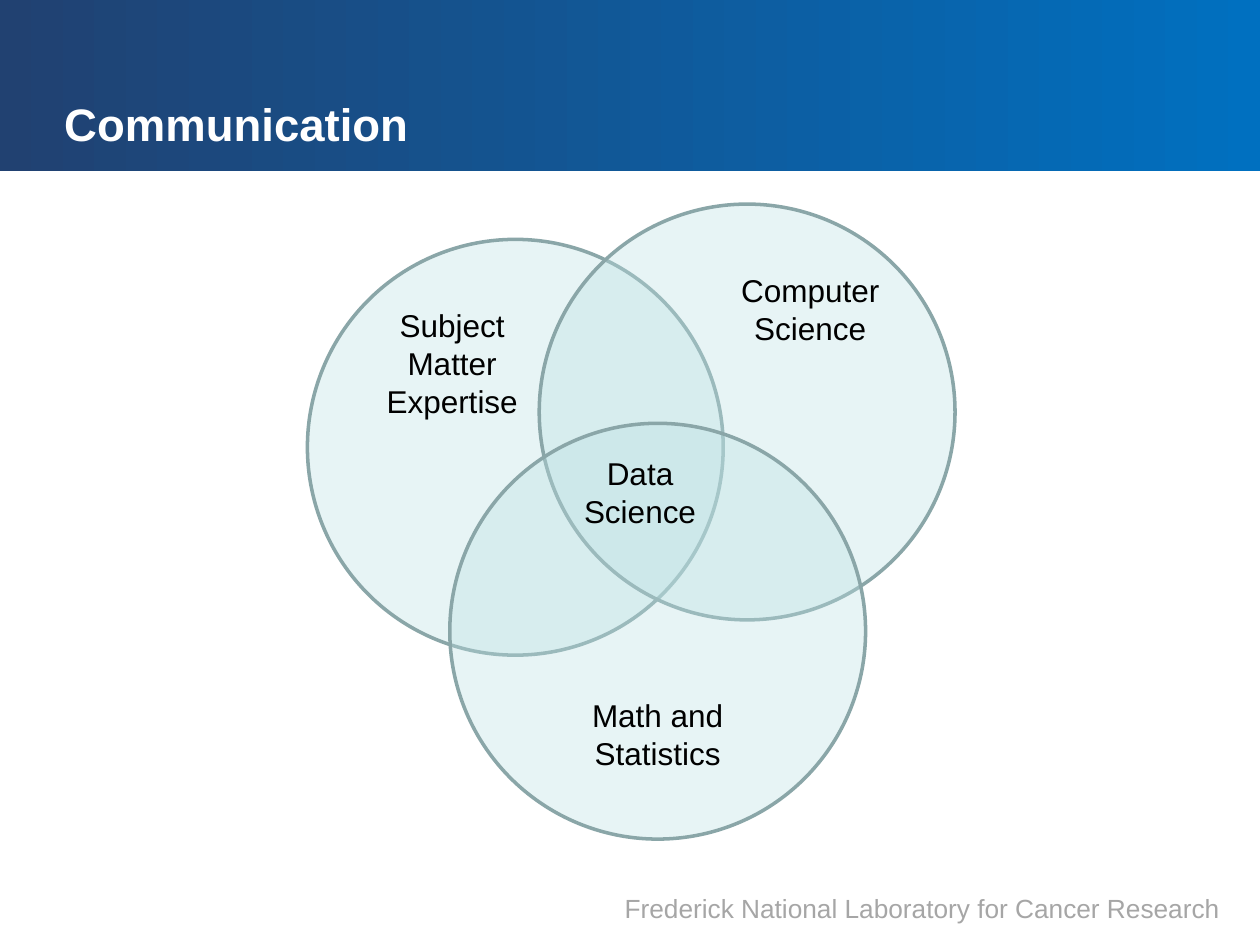
from dataclasses import dataclass

from lxml.etree import SubElement
from pptx import Presentation
from pptx.dml.color import RGBColor
from pptx.enum.shapes import MSO_SHAPE
from pptx.enum.text import MSO_ANCHOR, MSO_AUTO_SIZE, PP_ALIGN
from pptx.oxml.ns import qn
from pptx.util import Inches, Pt


@dataclass(frozen=True)
class Theme:
    font: str = "Arial"
    band_start: str = "214171"
    band_end: str = "0070C0"
    title: str = "FFFFFF"
    body: str = "000000"
    footer: str = "A6A6A6"
    circle_fill: str = "BBE0E3"
    circle_line: str = "8AA6A8"
    circle_opacity: int = 35
    title_size: int = 26
    body_size: int = 18
    footer_size: int = 15
    line_width: int = 2


THEME = Theme()
SLIDE_WIDTH, SLIDE_HEIGHT = 10, 7.5
DIAMETER = 3.3
SIDE_INSET = 1.1  # pushes a label away from the overlap


def rgb(code):
    return RGBColor.from_string(code)


def write_text(frame, text, size=THEME.body_size, color=THEME.body, bold=False,
               align=PP_ALIGN.CENTER, anchor=MSO_ANCHOR.TOP, spacing=None,
               inset_left=0.1, inset_right=0.1, wrap=True):
    """Fill a text frame, one paragraph per line of text."""
    frame.word_wrap = wrap
    frame.vertical_anchor = anchor
    frame.margin_left, frame.margin_right = Inches(inset_left), Inches(inset_right)
    frame.margin_top = frame.margin_bottom = Inches(0.05)
    frame.text = text
    for paragraph in frame.paragraphs:
        paragraph.alignment = align
        paragraph.line_spacing = spacing
        for run in paragraph.runs:
            run.font.name = THEME.font
            run.font.size = Pt(size)
            run.font.bold = bold
            run.font.color.rgb = rgb(color)


def add_band(slide):
    band = slide.shapes.add_shape(MSO_SHAPE.RECTANGLE, 0, 0,
                                  Inches(SLIDE_WIDTH), Inches(1.36))
    band.shadow.inherit = False
    band.line.fill.background()
    band.fill.gradient()
    band.fill.gradient_angle = 0
    for stop, color, position in zip(band.fill.gradient_stops,
                                     (THEME.band_start, THEME.band_end), (0, 1)):
        stop.color.rgb = rgb(color)
        stop.position = position
    # Send the band behind the title placeholder
    slide.shapes._spTree.insert(2, band._element)


def add_title(slide, text):
    title = slide.shapes.title
    title.left, title.top = Inches(0.41), Inches(0)
    title.width, title.height = Inches(7.21), Inches(1.25)
    write_text(title.text_frame, text, size=THEME.title_size, color=THEME.title,
               bold=True, align=PP_ALIGN.LEFT, anchor=MSO_ANCHOR.BOTTOM, spacing=0.9)


def add_circle(slide, text, left, top, **text_format):
    circle = slide.shapes.add_shape(MSO_SHAPE.OVAL, Inches(left), Inches(top),
                                    Inches(DIAMETER), Inches(DIAMETER))
    circle.shadow.inherit = False
    circle.fill.solid()
    circle.fill.fore_color.rgb = rgb(THEME.circle_fill)
    fill_color = circle._element.spPr.find(qn("a:solidFill"))[0]
    SubElement(fill_color, qn("a:alpha"), val=str(THEME.circle_opacity * 1000))
    circle.line.color.rgb = rgb(THEME.circle_line)
    circle.line.width = Pt(THEME.line_width)
    write_text(circle.text_frame, text, **text_format)


def add_label(slide, text, left, top, width, height, **text_format):
    label = slide.shapes.add_textbox(Inches(left), Inches(top),
                                     Inches(width), Inches(height))
    write_text(label.text_frame, text, **text_format)
    label.text_frame.auto_size = MSO_AUTO_SIZE.SHAPE_TO_FIT_TEXT


def main():
    presentation = Presentation()
    presentation.slide_width = Inches(SLIDE_WIDTH)
    presentation.slide_height = Inches(SLIDE_HEIGHT)
    slide = presentation.slides.add_slide(presentation.slide_layouts[5])

    # Header and footer
    add_band(slide)
    add_title(slide, "Communication")
    add_label(slide, "Frederick National Laboratory for Cancer Research",
              4.71, 7.03, 5.07, 0.35, size=THEME.footer_size,
              color=THEME.footer, align=PP_ALIGN.RIGHT)

    # Venn diagram of the three fields
    add_circle(slide, "Subject\nMatter\nExpertise", 2.44, 1.9, inset_right=SIDE_INSET)
    add_circle(slide, "Computer\nScience", 4.28, 1.62, inset_left=SIDE_INSET)
    add_circle(slide, "Math and\nStatistics", 3.57, 3.36, anchor=MSO_ANCHOR.BOTTOM)

    # Shared centre
    add_label(slide, "Data\nScience", 4.53, 3.55, 1.1, 0.71,
              anchor=MSO_ANCHOR.MIDDLE, wrap=False)

    presentation.save("out.pptx")


if __name__ == "__main__":
    main()
